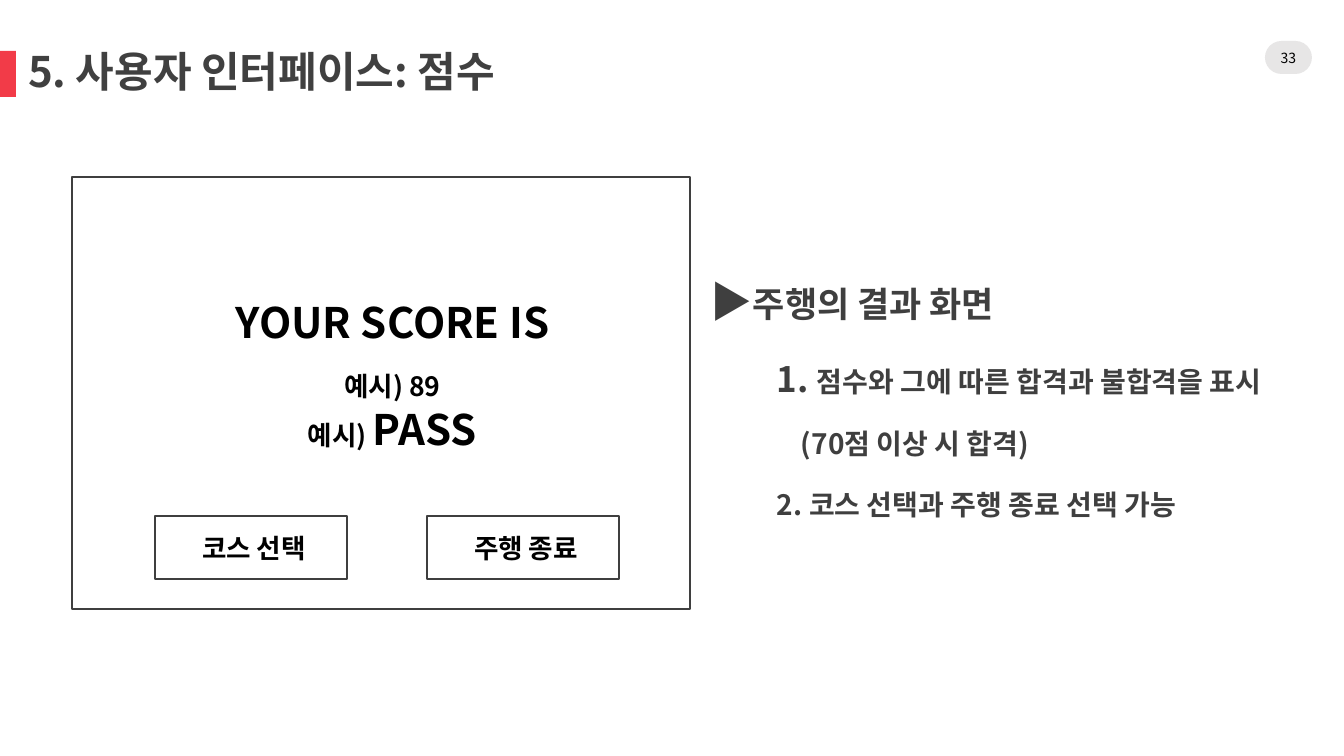
from lxml import etree
from pptx import Presentation
from pptx.dml.color import RGBColor
from pptx.enum.shapes import MSO_SHAPE
from pptx.enum.text import MSO_ANCHOR, MSO_AUTO_SIZE, PP_ALIGN
from pptx.oxml.ns import qn
from pptx.util import Emu, Pt

RECTANGLE, ROUNDED = MSO_SHAPE.RECTANGLE, MSO_SHAPE.ROUNDED_RECTANGLE
TOP, MIDDLE = MSO_ANCHOR.TOP, MSO_ANCHOR.MIDDLE
LEFT, CENTER = PP_ALIGN.LEFT, PP_ALIGN.CENTER
RED = RGBColor(0xF2, 0x3B, 0x48)
PALE_GRAY = RGBColor(0xE7, 0xE6, 0xE6)
TITLE_GRAY = RGBColor(0x40, 0x40, 0x40)
DARK_GRAY = RGBColor(0x3F, 0x3F, 0x3F)
BLACK = RGBColor(0, 0, 0)
WHITE = RGBColor(255, 255, 255)
FONT = "Noto Sans CJK KR"
PX = 914400 / 100.8


def add_panel(kind, box, fill, outline=None):
    panel = slide.shapes.add_shape(kind, *[Emu(round(v * PX)) for v in box])
    panel.shadow.inherit = False
    panel.fill.solid()
    panel.fill.fore_color.rgb = fill
    if outline is None:
        panel.line.fill.background()
    else:
        panel.line.color.rgb = outline
        panel.line.width = Pt(1)
    return panel


def write(frame, paragraphs, color, align=LEFT, spacing=1.5, anchor=TOP, bold=True, inset=0):
    frame_format = {
        "word_wrap": True, "auto_size": MSO_AUTO_SIZE.NONE, "vertical_anchor": anchor,
        "margin_left": Emu(round(inset * PX)), "margin_right": 0,
        "margin_top": 0, "margin_bottom": 0,
    }
    for key, value in frame_format.items():
        setattr(frame, key, value)
    for index, (indent, runs) in enumerate(paragraphs):
        paragraph = frame.paragraphs[0] if index == 0 else frame.add_paragraph()
        paragraph.alignment = align
        paragraph.line_spacing = spacing
        paragraph.space_before = Pt(7.5 if index else 0)
        if indent:
            paragraph._p.get_or_add_pPr().set("marL", str(round(indent * PX)))
        for words, size in runs:
            run = paragraph.add_run()
            run.text = words
            for key, value in {"name": FONT, "size": Pt(size), "bold": bold}.items():
                setattr(run.font, key, value)
            run.font.color.rgb = color
            etree.SubElement(run.font._element, qn("a:ea")).set("typeface", FONT)


deck = Presentation()
deck.slide_width, deck.slide_height = Emu(round(1344 * PX)), Emu(round(756 * PX))
slide = deck.slides.add_slide(deck.slide_layouts[5])

title = slide.shapes.title
for side, value in zip(("left", "top", "width", "height"), (28, 51, 856, 46)):
    setattr(title, side, Emu(round(value * PX)))
write(title.text_frame, [(0, [("5. 사용자 인터페이스: 점수", 30)])], TITLE_GRAY,
      spacing=0.9, anchor=MIDDLE)

add_panel(RECTANGLE, (0, 51, 16, 46), RED)
page_badge = add_panel(ROUNDED, (1265, 41, 47, 33), PALE_GRAY)
page_badge.adjustments[0] = 0.5
write(page_badge.text_frame, [(0, [("33", 10)])], BLACK, CENTER, 1.0, MIDDLE, False)

add_panel(RECTANGLE, (72, 177, 618, 432), WHITE, DARK_GRAY)

score_lines = [
    (271, [("YOUR SCORE IS", 30)]),
    (354, [("예시) 89", 19)]),
    (378, [("예시) ", 19), ("PASS", 30)]),
]
for top, runs in score_lines:
    score = slide.shapes.add_textbox(*[Emu(round(v * PX)) for v in (165, top, 455, 48)])
    write(score.text_frame, [(0, runs)], BLACK, CENTER)

for left, label in ((155, "코스 선택"), (427, "주행 종료")):
    button = add_panel(RECTANGLE, (left, 516, 192, 63), WHITE, DARK_GRAY)
    write(button.text_frame, [(0, [(label, 19)])], BLACK, CENTER, 1.0, MIDDLE, inset=6)

description = slide.shapes.add_textbox(*[Emu(round(v * PX)) for v in (711, 250, 633, 315)])
write(description.text_frame, [
    (0, [("▶", 30), ("주행의 결과 화면", 25)]),
    (66, [("1. ", 25), ("점수와 그에 따른 합격과 불합격을 표시", 20)]),
    (90, [("(70점 이상 시 합격)", 20)]),
    (66, [("2. 코스 선택과 주행 종료 선택 가능", 20)]),
], DARK_GRAY)

deck.save("out.pptx")
